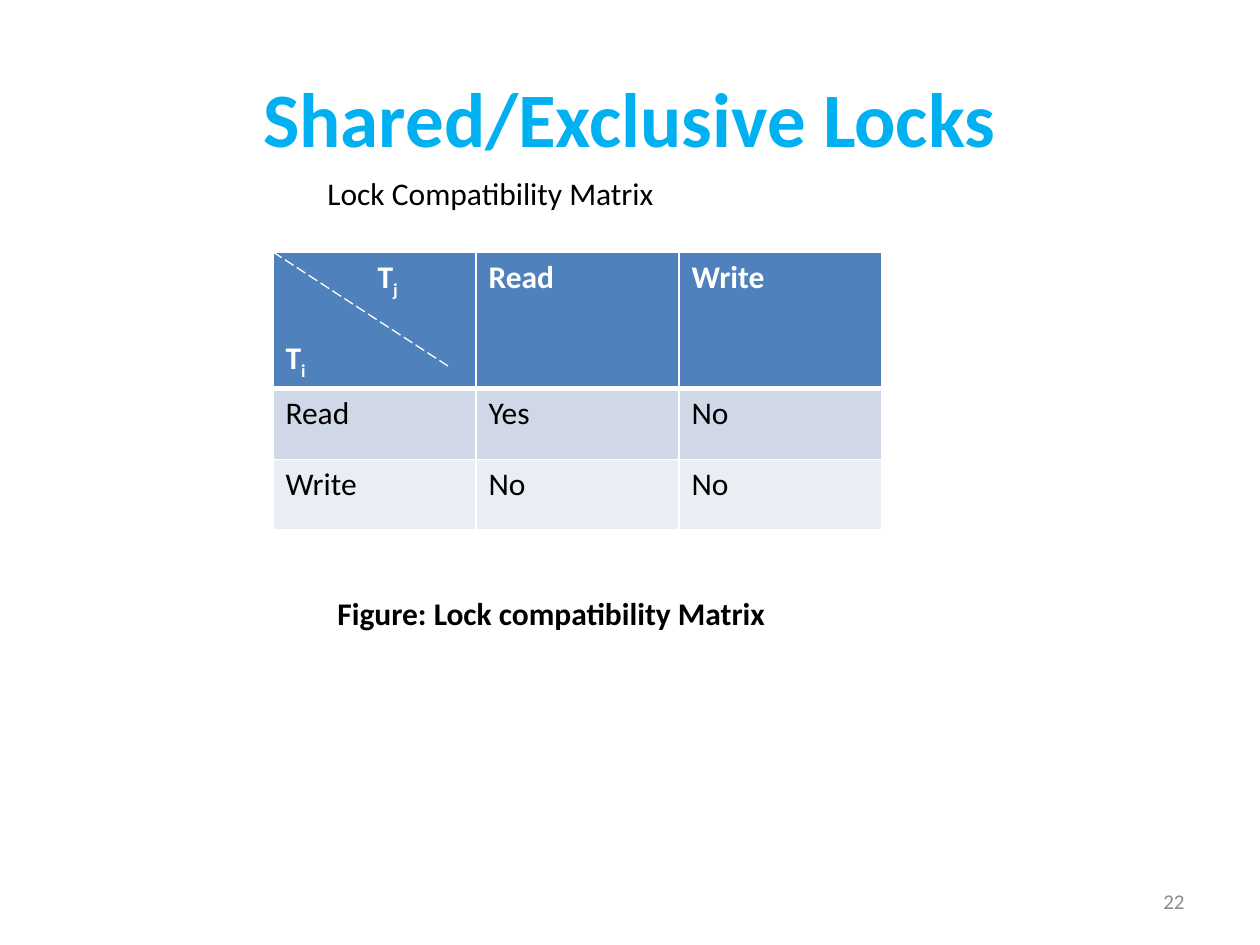
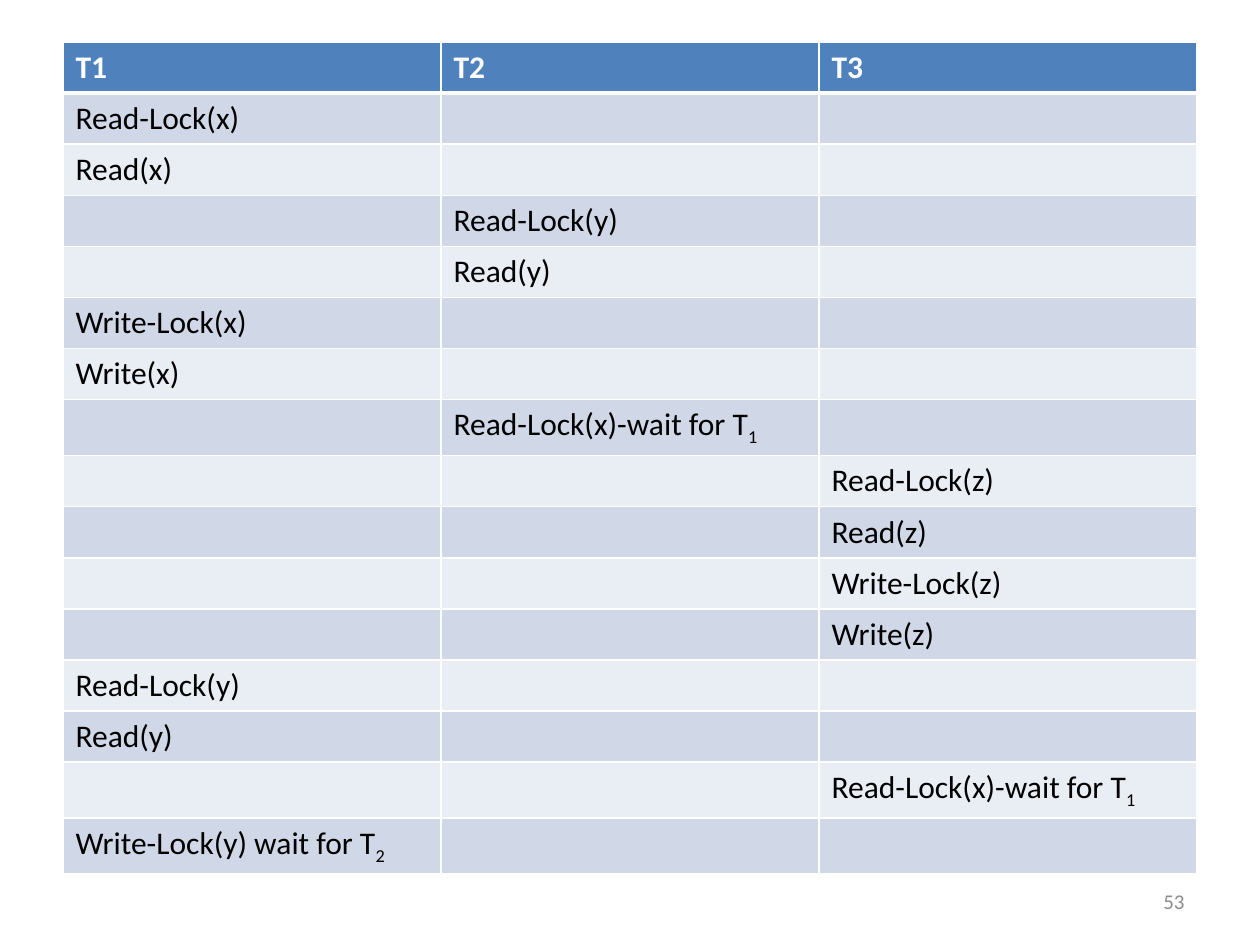
from pptx import Presentation
from pptx.dml.color import RGBColor
from pptx.enum.dml import MSO_LINE
from pptx.enum.shapes import MSO_CONNECTOR
from pptx.enum.text import MSO_ANCHOR, PP_ALIGN
from pptx.oxml import parse_xml
from pptx.oxml.ns import nsdecls
from pptx.util import Pt

HUES = {"title": "00B0F0", "head": "4F81BD", "odd": "D0D8E8", "even": "E9EDF4",
        "white": "FFFFFF", "black": "000000", "grey": "8C8C8C"}
STYLES = {
    "title": ("title", {"name": "Calibri", "size": Pt(44), "bold": True}),
    "head": ("white", {"name": "Calibri", "size": Pt(18), "bold": True}),
    "body": ("black", {"name": "Calibri", "size": Pt(18), "bold": False}),
    "strong": ("black", {"name": "Calibri", "size": Pt(18), "bold": True}),
    "page": ("grey", {"name": "Calibri", "size": Pt(12), "bold": False}),
}
LOCKS = [["T_j", "Read", "Write"], ["Read", "Yes", "No"], ["Write", "No", "No"]]
NAMES = ["T1", "T2", "T3"]
STEPS = [
    (0, "Read-Lock(x)"), (0, "Read(x)"), (1, "Read-Lock(y)"), (1, "Read(y)"),
    (0, "Write-Lock(x)"), (0, "Write(x)"), (1, "Read-Lock(x)-wait for T_1"),
    (2, "Read-Lock(z)"), (2, "Read(z)"), (2, "Write-Lock(z)"), (2, "Write(z)"),
    (0, "Read-Lock(y)"), (0, "Read(y)"), (2, "Read-Lock(x)-wait for T_1"),
    (0, "Write-Lock(y) wait for T_2"),
]


def px(count):
    """Turn pixels at 126 to the inch into EMU."""
    return round(count * 914400 / 126)


def hue(name):
    """Look up a colour by name."""
    return RGBColor.from_string(HUES[name])


def write(para, text, style):
    """Write styled text, lowering what follows an underscore."""
    tint, form = STYLES[style]
    for step, part in enumerate(text.split("_")):
        run = para.add_run()
        run.text = part
        for key, value in form.items():
            setattr(run.font, key, value)
        run.font.color.rgb = hue(tint)
        if step:
            run.font._element.set("baseline", "-25000")


def label(slide, box, text, style, align=PP_ALIGN.LEFT, anchor=MSO_ANCHOR.TOP):
    """Add a wrapped line of text in a box."""
    frame = slide.shapes.add_textbox(*map(px, box)).text_frame
    frame.word_wrap = True
    frame.vertical_anchor = anchor
    frame.paragraphs[0].alignment = align
    write(frame.paragraphs[0], text, style)


def number(slide, text):
    """Add the page number at the lower right."""
    label(slide, (903, 876, 294, 50), text, "page", PP_ALIGN.RIGHT, MSO_ANCHOR.MIDDLE)


def edge(cell, base):
    """Draw white cell borders with a given bottom width."""
    for side, width in zip("LRTB", (1, 1, 1, base)):
        cell._tc.get_or_add_tcPr().append(parse_xml(
            f'<a:ln{side} {nsdecls("a")} w="{Pt(width)}"><a:solidFill>'
            f'<a:srgbClr val="{HUES["white"]}"/></a:solidFill></a:ln{side}>'))


def grid(slide, box, rows, tall):
    """Add a banded table with equal columns and given row heights."""
    wide = len(rows[0])
    table = slide.shapes.add_table(len(rows), wide, *map(px, box)).table
    for col in table.columns:
        col.width = px(box[2] / wide)
    for r, (row, high) in enumerate(zip(rows, tall)):
        table.rows[r].height = px(high)
        for c, text in enumerate(row):
            cell = table.cell(r, c)
            edge(cell, 1 if r else 3)
            cell.fill.solid()
            cell.fill.fore_color.rgb = hue(("odd" if r % 2 else "even") if r else "head")
            if text:
                write(cell.text_frame.paragraphs[0], text, "body" if r else "head")
    return table


def corner(slide, table, left, top):
    """Split the head cell by a dashed line between its two labels."""
    frame = table.cell(0, 0).text_frame
    frame.paragraphs[0]._p.get_or_add_pPr().set("marL", str(px(92)))
    low = frame.add_paragraph()
    low.space_before = Pt(22)
    write(low, "T_i", "head")
    line = slide.shapes.add_connector(
        MSO_CONNECTOR.STRAIGHT, *map(px, (left, top, left + 178, top + 116)))
    line.line.color.rgb = hue("white")
    line.line.width = Pt(0.75)
    line.line.dash_style = MSO_LINE.LONG_DASH
    line._element.spPr.append(parse_xml(f'<a:effectLst {nsdecls("a")}/>'))


def matrix(deck):
    """Build the lock compatibility slide."""
    slide = deck.slides.add_slide(deck.slide_layouts[5])
    title = slide.shapes.title
    for key, value in zip(("left", "top", "width", "height"), (63, 38, 1134, 157)):
        setattr(title, key, px(value))
    title.text_frame.vertical_anchor = MSO_ANCHOR.MIDDLE
    title.text_frame.paragraphs[0].alignment = PP_ALIGN.CENTER
    write(title.text_frame.paragraphs[0], "Shared/Exclusive Locks", "title")
    left, top = 273, 252
    table = grid(slide, (left, top, 609, 277), LOCKS, (136, 71, 70))
    number(slide, "22")
    label(slide, (left + 42, top - 84, 494, 50), "Lock Compatibility Matrix", "body")
    label(slide, (left + 52, top + 336, 494, 50),
          "Figure: Lock compatibility Matrix", "strong")
    corner(slide, table, left, top)


def schedule(deck):
    """Build the slide that lists the steps of each transaction."""
    slide = deck.slides.add_slide(deck.slide_layouts[6])
    rows = [NAMES] + [[text if c == col else "" for c in range(3)] for col, text in STEPS]
    tall = [56 if any("_" in text for text in row) else 51 for row in rows]
    grid(slide, (63, 42, 1134, sum(tall)), rows, tall)
    number(slide, "53")


def main():
    """Build and save the deck."""
    deck = Presentation()
    deck.slide_width, deck.slide_height = px(1260), px(945)
    matrix(deck)
    schedule(deck)
    deck.save("out.pptx")


if __name__ == "__main__":
    main()
